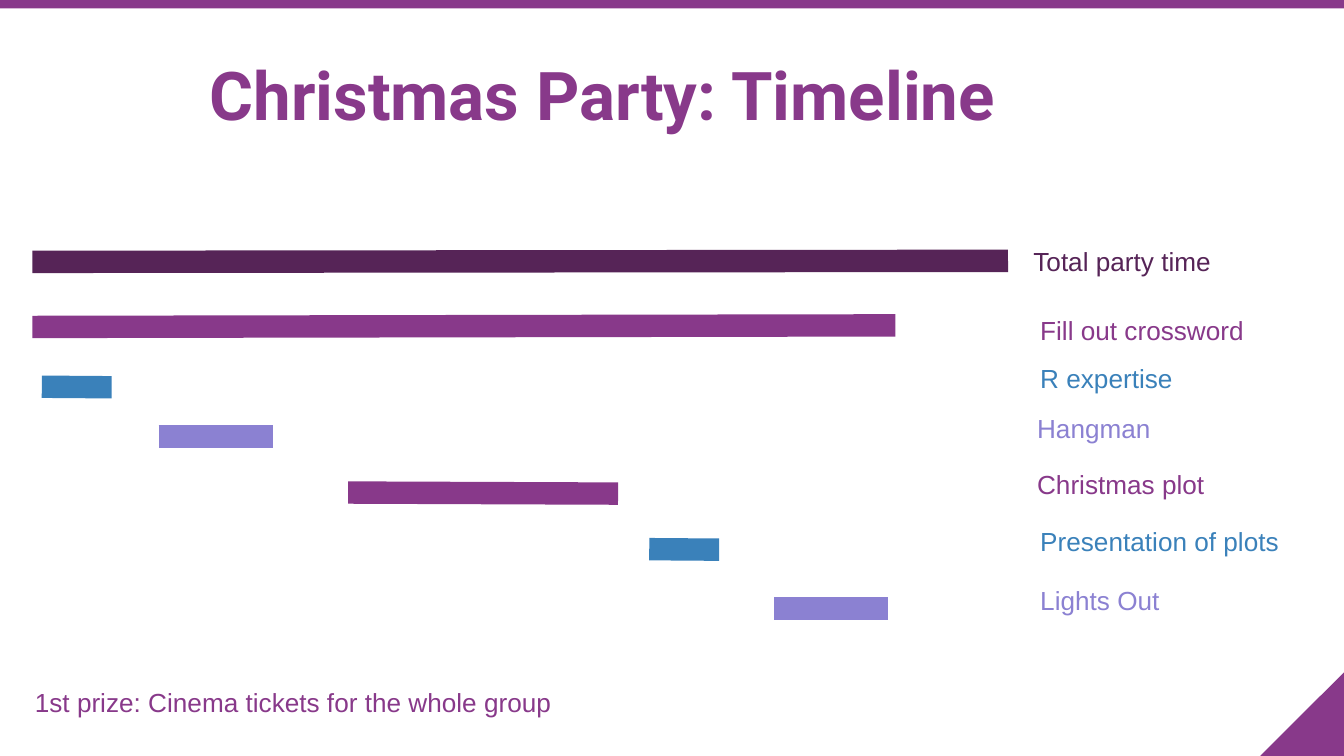
from dataclasses import dataclass

from lxml.etree import SubElement
from pptx import Presentation
from pptx.dml.color import RGBColor
from pptx.enum.shapes import MSO_CONNECTOR as Connector, MSO_SHAPE as Shape
from pptx.enum.text import MSO_ANCHOR as Anchor, MSO_AUTO_SIZE as AutoSize, PP_ALIGN as Align
from pptx.oxml.ns import qn
from pptx.util import Cm, Pt


@dataclass(frozen=True)
class Theme:
    plum: RGBColor = RGBColor.from_string("562457")
    purple: RGBColor = RGBColor.from_string("88398A")
    blue: RGBColor = RGBColor.from_string("3A81BA")
    lavender: RGBColor = RGBColor.from_string("8B81D2")
    title_font: str = "Roboto"
    body_font: str = "Arial"
    title_size: int = 36
    body_size: int = 14
    bar_width: int = 12


class SlideBuilder:
    def __init__(self, slide, theme):
        self.slide = slide
        self.theme = theme

    def fill_text(self, box, text, align, font_format):
        """Put one formatted paragraph in a box."""
        frame = box.text_frame
        frame_format = {
            "word_wrap": True, "auto_size": AutoSize.NONE, "vertical_anchor": Anchor.TOP,
            "margin_left": Cm(0.25), "margin_right": Cm(0.25),
            "margin_top": Cm(0.25), "margin_bottom": Cm(0.25),
        }
        for name, value in frame_format.items():
            setattr(frame, name, value)
        para = frame.paragraphs[0]
        para.alignment = align
        span = para.add_run()
        span.text = text
        for name, value in font_format.items():
            if name != "color":
                setattr(span.font, name, value)
        span.font.color.rgb = font_format["color"]

    def title(self, text, left, top, width, height):
        box = self.slide.shapes.title
        place = {"left": left, "top": top, "width": width, "height": height}
        for name, value in place.items():
            setattr(box, name, Cm(value))
        self.fill_text(box, text, Align.CENTER, {
            "name": self.theme.title_font, "size": Pt(self.theme.title_size),
            "bold": True, "color": self.theme.purple})

    def label(self, text, left, top, width, color):
        box = self.slide.shapes.add_textbox(Cm(left), Cm(top), Cm(width), Cm(1.42))
        self.fill_text(box, text, Align.LEFT, {
            "name": self.theme.body_font, "size": Pt(self.theme.body_size), "color": color})

    def decoration(self, kind, left, top, width, height):
        shape = self.slide.shapes.add_shape(kind, Cm(left), Cm(top), Cm(width), Cm(height))
        shape.shadow.inherit = False
        shape.fill.solid()
        shape.fill.fore_color.rgb = self.theme.purple
        shape.line.fill.background()
        return shape

    def time_bar(self, start, end, start_y, end_y, color):
        bar = self.slide.shapes.add_connector(
            Connector.STRAIGHT, Cm(start), Cm(start_y), Cm(end), Cm(end_y))
        bar.line.color.rgb = color
        bar.line.width = Pt(self.theme.bar_width)
        SubElement(bar.element.spPr, qn("a:effectLst"))


def main():
    deck = Presentation()
    deck.slide_width, deck.slide_height = Cm(25.4), Cm(14.29)
    theme = Theme()
    page = SlideBuilder(deck.slides.add_slide(deck.slide_layouts[5]), theme)

    # Corner triangle and top band
    corner = page.decoration(Shape.RIGHT_TRIANGLE, 23.82, 12.71, 1.58, 1.58)
    corner.element.spPr.find(qn("a:xfrm")).set("flipH", "1")
    page.decoration(Shape.RECTANGLE, 0, 0, 25.4, 0.16)

    page.title("Christmas Party: Timeline ", 1.4, 0.76, 20.29, 1.42)

    # Activities: name, bar start and end, bar heights, label left and top, colour
    activities = [
        ("Total party time", 0.61, 19.05, 4.95, 4.93, 19.28, 4.39, theme.plum),
        ("Fill out crossword", 0.61, 16.92, 6.18, 6.15, 19.41, 5.69, theme.purple),
        ("R expertise", 0.79, 2.11, 7.31, 7.32, 19.41, 6.6, theme.blue),
        ("Hangman", 3, 5.16, 8.25, 8.25, 19.35, 7.54, theme.lavender),
        ("Christmas plot", 6.58, 11.68, 9.31, 9.33, 19.35, 8.61, theme.purple),
        ("Presentation of plots", 12.27, 13.59, 10.38, 10.39, 19.41, 9.68, theme.blue),
        ("Lights Out", 14.63, 16.79, 11.5, 11.5, 19.41, 10.8, theme.lavender),
    ]
    for name, start, end, start_y, end_y, left, top, color in activities:
        page.time_bar(start, end, start_y, end_y, color)
        page.label(name, left, top, 5.23, color)

    # Prize note
    page.label("1st prize: Cinema tickets for the whole group", 0.41, 12.73, 10.69, theme.purple)

    deck.save("out.pptx")


if __name__ == "__main__":
    main()
